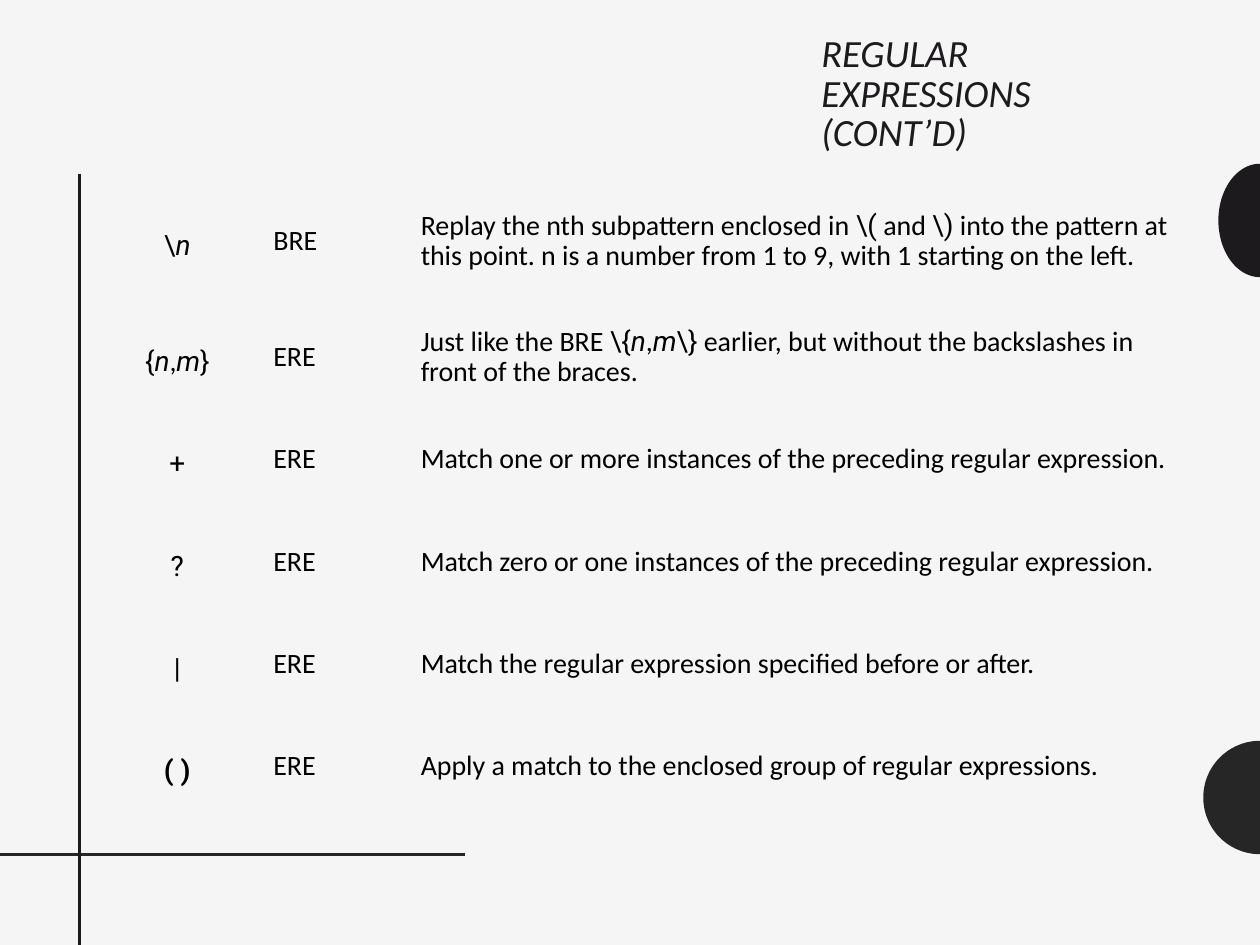
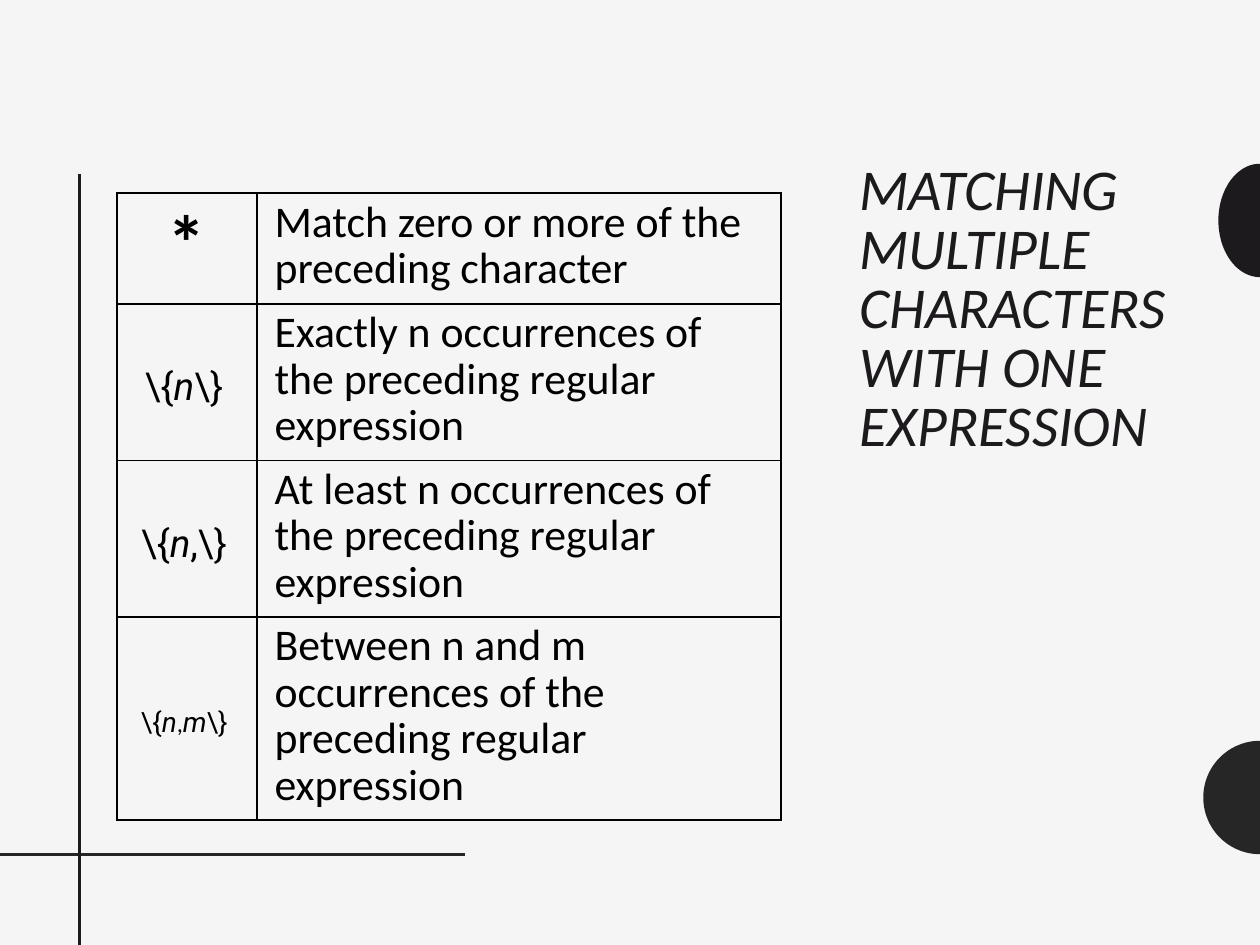
from dataclasses import dataclass
from math import cos, pi, sin

from lxml.etree import SubElement
from pptx import Presentation
from pptx.dml.color import RGBColor as Color
from pptx.enum.shapes import MSO_CONNECTOR as Connector
from pptx.enum.text import MSO_ANCHOR as Anchor, PP_ALIGN as Align
from pptx.oxml.ns import qn
from pptx.util import Inches, Pt


@dataclass(frozen=True)
class Theme:
    paper: str = "F5F5F5"
    ink: str = "1D1A1D"
    graphite: str = "262626"
    text: str = "000000"
    body_font: str = "Calibri"
    code_font: str = "Roboto"
    title_small: int = 22
    title_large: int = 33
    star: int = 44
    large: int = 25
    code: int = 22
    small: int = 16
    tiny: int = 14
    rule: int = 2
    title_spacing: float = 0.85
    text_spacing: float = 0.87
    code_spacing: float = 1.25


THEME = Theme()
WIDTH, HEIGHT = Inches(10), Inches(7.5)
COLUMN, ROW = WIDTH / 100, HEIGHT / 75


@dataclass(frozen=True)
class Box:
    left: float
    top: float
    width: float
    height: float

    def x(self, share):
        return round((self.left + self.width * share) * COLUMN)

    def y(self, share):
        return round((self.top + self.height * share) * ROW)

    def frame(self):
        return (self.x(0), self.y(0),
                round(self.width * COLUMN), round(self.height * ROW))


PAGE = Box(0, 0, 100, 75)


def apply(target, formats):
    for name, value in formats.items():
        setattr(target, name, value)


def code(text, **formats):
    return text, {"name": THEME.code_font, **formats}


def variable(text, **formats):
    return code(text, italic=True, **formats)


def write(para, spans, size, color, spacing, align=Align.LEFT, **formats):
    apply(para, {"line_spacing": spacing, "alignment": align})
    for item in spans:
        text, own = item if isinstance(item, tuple) else (item, {})
        span = para.add_run()
        span.text = text
        look = {"name": THEME.body_font, "size": size, "bold": False,
                "italic": False, **formats, **own}
        apply(span.font, {**look, "size": Pt(look["size"])})
        span.font.color.rgb = Color.from_string(color)


def draw_rule(page, start, end, color):
    line = page.shapes.add_connector(Connector.STRAIGHT, *start, *end)
    line.line.color.rgb = Color.from_string(color)
    line.line.width = Pt(THEME.rule)
    SubElement(line._element.spPr, qn("a:effectLst"))


def draw_half_disc(page, box, color, steps=48):
    points = [(box.x(1 - sin(pi * step / steps)),
               box.y(0.5 - cos(pi * step / steps) / 2))
              for step in range(steps + 1)]
    builder = page.shapes.build_freeform(*points[0])
    builder.add_line_segments(points[1:], close=True)
    disc = builder.convert_to_shape()
    disc.shadow.inherit = False
    disc.fill.solid()
    disc.fill.fore_color.rgb = Color.from_string(color)
    disc.line.fill.background()


def draw_title(page, box, text, size):
    frame = page.shapes.add_textbox(*box.frame()).text_frame
    apply(frame, {"word_wrap": True, "vertical_anchor": Anchor.TOP})
    write(frame.paragraphs[0], [text], size, THEME.ink,
          THEME.title_spacing, italic=True)


def set_borders(cell, color):
    props = cell._tc.get_or_add_tcPr()
    for side in ("lnL", "lnR", "lnT", "lnB"):
        line = SubElement(props, qn(f"a:{side}"), w=str(Pt(1)))
        if color:
            fill = SubElement(line, qn("a:solidFill"))
            SubElement(fill, qn("a:srgbClr"), val=color)
        else:
            SubElement(line, qn("a:noFill"))


def draw_table(page, box, rows, widths, heights, size, margins, border=None):
    table = page.shapes.add_table(len(rows), len(widths), *box.frame()).table
    apply(table, {"first_row": False, "horz_banding": False})
    for column, weight in zip(table.columns, widths):
        column.width = round(box.width * COLUMN * weight / sum(widths))
    for row, weight in zip(table.rows, heights):
        row.height = round(box.height * ROW * weight / sum(heights))
    sides = ("margin_left", "margin_top", "margin_right", "margin_bottom")
    for row, contents in zip(table.rows, rows):
        for index, (cell, spans) in enumerate(zip(row.cells, contents)):
            is_symbol = index == 0
            is_code = is_symbol and isinstance(spans[0], tuple) \
                and spans[0][1].get("name") == THEME.code_font
            set_borders(cell, border)
            cell.fill.background()
            cell.vertical_anchor = Anchor.MIDDLE
            insets = margins["code" if is_code else "text"]
            apply(cell, dict(zip(sides, map(Inches, insets))))
            write(cell.text_frame.paragraphs[0], spans, size, THEME.text,
                  THEME.code_spacing if is_code else THEME.text_spacing,
                  Align.CENTER if is_symbol else Align.LEFT)


def add_page(deck):
    page = deck.slides.add_slide(deck.slide_layouts[6])
    page.background.fill.solid()
    page.background.fill.fore_color.rgb = Color.from_string(THEME.paper)
    draw_half_disc(page, Box(95.5, 58.8, 4.5, 9), THEME.graphite)
    draw_rule(page, (PAGE.x(0), PAGE.y(0.904)),
              (PAGE.x(0.369), PAGE.y(0.904)), THEME.graphite)
    draw_rule(page, (PAGE.x(0.063), PAGE.y(0.184)),
              (PAGE.x(0.063), PAGE.y(1)), THEME.ink)
    draw_half_disc(page, Box(96.7, 13, 3.3, 9), THEME.ink)
    return page


def build_expressions(deck):
    page = add_page(deck)
    draw_title(page, Box(64.2, 2.4, 27.5, 11.7),
               "REGULAR EXPRESSIONS (CONT’D)", THEME.title_small)
    rows = [
        ([code("\\"), variable("n ")], ["BRE"],
         ["Replay the nth subpattern enclosed in ", code("\\("), " and ",
          code("\\)"), " into the pattern at this point. n is a number "
          "from 1 to 9, with 1 starting on the left."]),
        ([code("{"), variable("n"), ",", variable("m"), code("} ")], ["ERE"],
         ["Just like the BRE ", code("\\{"), variable("n"), ",",
          variable("m"), code("\\}"),
          " earlier, but without the backslashes in front of the braces."]),
        ([code("+ ")], ["ERE"],
         ["Match one or more instances of the preceding regular expression."]),
        ([code("? ")], ["ERE"],
         ["Match zero or one instances of the preceding regular expression."]),
        ([code("| ")], ["ERE"],
         ["Match the regular expression specified before or after."]),
        ([code("( ) ", bold=True)], ["ERE"],
         ["Apply a match to the enclosed group of regular expressions."]),
    ]
    even = (0.13,) * 4
    draw_table(page, Box(8.3, 14, 85.9, 50.95), rows,
               widths=(1.21, 1.17, 6.21), heights=(1.03,) + (0.81,) * 5,
               size=THEME.small, margins={"code": even, "text": even})


def build_multiples(deck):
    page = add_page(deck)
    draw_title(page, Box(67.2, 12.5, 27.5, 46.7),
               "MATCHING MULTIPLE CHARACTERS WITH ONE EXPRESSION",
               THEME.title_large)
    big, small = {"size": THEME.code}, {"size": THEME.small}
    tiny = {"size": THEME.tiny}
    rows = [
        ([("*", {"size": THEME.star, "bold": True})],
         ["Match zero or more of the preceding character"]),
        ([code("\\{", **big), variable("n", **big), code("\\}", **big),
          (" ", small)],
         ["Exactly n occurrences of the preceding regular expression"]),
        ([code("\\{", **big), variable("n", **big), code(",\\}", **big),
          (" ", small)],
         ["At least n occurrences of the preceding regular expression"]),
        ([code("\\{", **small), variable("n", **small), (",", tiny),
          variable("m", **small), code("\\}", **small), (" ", tiny)],
         ["Between n and m occurrences of the preceding regular expression"]),
    ]
    draw_table(page, Box(9.3, 15.3, 52.7, 49.8), rows,
               widths=(1.11, 4.16), heights=(0.88, 1.24, 1.24, 1.61),
               size=THEME.large, border=THEME.text,
               margins={"code": (0.14, 0.07, 0.14, 0.07),
                        "text": (0.14, 0.04, 0.14, 0.07)})


def main():
    deck = Presentation()
    apply(deck, {"slide_width": WIDTH, "slide_height": HEIGHT})
    build_expressions(deck)
    build_multiples(deck)
    deck.save("out.pptx")


if __name__ == "__main__":
    main()
